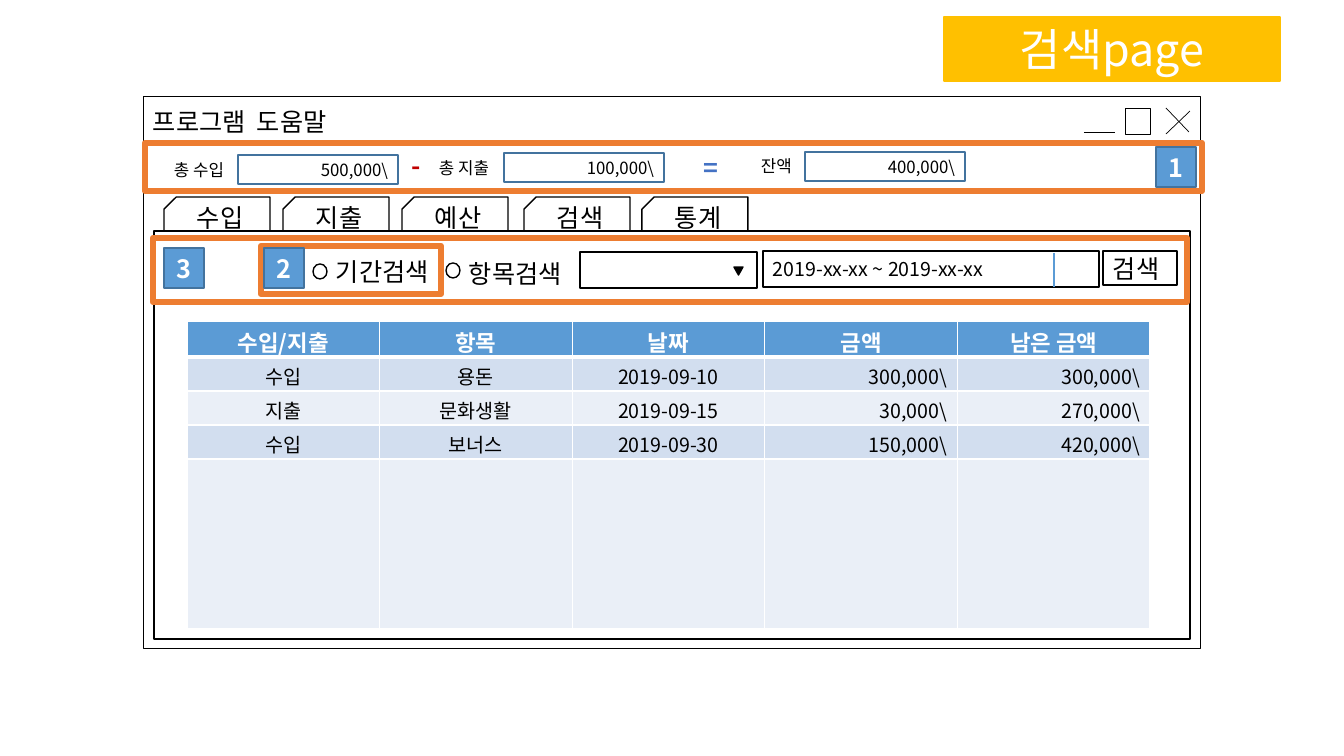
from lxml.etree import SubElement
from pptx import Presentation
from pptx.dml.color import RGBColor
from pptx.enum.shapes import MSO_CONNECTOR, MSO_SHAPE
from pptx.enum.text import MSO_ANCHOR, MSO_AUTO_SIZE, PP_ALIGN
from pptx.oxml.ns import qn
from pptx.util import Pt

FONT = "Noto Sans CJK KR"
BLACK, WHITE, BLUE, NAVY, ORANGE = "000000", "FFFFFF", "5B9BD5", "43739E", "ED7D31"
LEFT, MID, RIGHT = PP_ALIGN.LEFT, PP_ALIGN.CENTER, PP_ALIGN.RIGHT

TABS = [("수입", 164), ("지출", 283), ("예산", 402), ("검색", 524), ("통계", 642)]
TOTALS = [("총 수입", 164, 155, 79, "500,000\\", 238, 155),
          ("총 지출", 429, 153, 79, "100,000\\", 504, 153),
          ("잔액", 751, 151, 64, "400,000\\", 805, 152)]
SIGNS = [("-", 402, 145, "C00000"), ("=", 694, 147, "4472C4")]
RADIOS = [("항목검색", 446, 263, 459, 253), ("기간검색", 313, 264, 326, 251)]
MARKS = [("1", (145, 143, 1057, 48), (1156, 147)),
         ("2", (261, 246, 180, 48), (264, 248)),
         ("3", (153, 238, 1034, 64), (164, 248))]
ROWS = [("수입/지출", "항목", "날짜", "금액", "남은 금액"),
        ("수입", "용돈", "2019-09-10", "300,000\\", "300,000\\"),
        ("지출", "문화생활", "2019-09-15", "30,000\\", "270,000\\"),
        ("수입", "보너스", "2019-09-30", "150,000\\", "420,000\\"),
        ("", "", "", "", "")]
FILLS = [BLUE, "D2DEEF", "EAEFF7", "D2DEEF", "EAEFF7"]
HEIGHTS = [36, 34, 34, 34, 170]
ALIGNS = [MID, MID, MID, RIGHT, RIGHT]


def px(n):
    return round(n * 914400 / 100.8)


def rgb(code):
    return RGBColor.from_string(code)


def write(frame, text, size, color=BLACK, align=LEFT, bold=False):
    para = frame.paragraphs[0]
    para.alignment = align
    run = para.add_run()
    run.text = text
    font = run.font
    font.size, font.bold, font.name = Pt(size), bold, FONT
    font.color.rgb = rgb(color)
    SubElement(font._element, qn("a:ea")).set("typeface", FONT)


def shape(home, box, fill=WHITE, line=BLACK, width=1, kind=MSO_SHAPE.RECTANGLE):
    item = home.add_shape(kind, *map(px, box))
    item.shadow.inherit = False
    if fill:
        item.fill.solid()
        item.fill.fore_color.rgb = rgb(fill)
    else:
        item.fill.background()
    item.line.color.rgb = rgb(line)
    item.line.width = Pt(width)
    frame = item.text_frame
    frame.word_wrap = True
    frame.vertical_anchor = MSO_ANCHOR.MIDDLE
    return item


def label(home, box, text, size, color=BLACK, bold=False):
    frame = home.add_textbox(*map(px, box)).text_frame
    frame.word_wrap = True
    frame.auto_size = MSO_AUTO_SIZE.SHAPE_TO_FIT_TEXT
    write(frame, text, size, color, bold=bold)


def rule(home, ends, color=BLACK, width=0.5):
    item = home.add_connector(MSO_CONNECTOR.STRAIGHT, *map(px, ends))
    item.line.color.rgb = rgb(color)
    item.line.width = Pt(width)
    SubElement(item._element.spPr, qn("a:effectLst"))


def border(cell, row):
    props = cell._tc.get_or_add_tcPr()
    sides = [("L", 1), ("R", 1), ("T", 3 if row == 1 else 1), ("B", 3 if row == 0 else 1)]
    for side, width in sides:
        edge = SubElement(props, qn(f"a:ln{side}"), w=str(Pt(width)))
        fill = SubElement(edge, qn("a:solidFill"))
        SubElement(fill, qn("a:srgbClr"), val=WHITE)


def window(home):
    shape(home, (143, 96, 1057, 552), width=0.5)
    rule(home, (143, 143, 1200, 142))
    label(home, (143, 101, 246, 40), "프로그램  도움말", 18)
    icons = home.add_group_shape().shapes
    rule(icons, (1084, 132, 1115, 132))
    shape(icons, (1125, 108, 25, 26), width=0.5)
    rule(icons, (1166, 108, 1189, 132))
    rule(icons, (1190, 111, 1166, 134))
    for text, x in TABS:
        tab = shape(home, (x, 197, 106, 34), kind=MSO_SHAPE.SNIP_1_RECTANGLE)
        tab.adjustments[0] = 0.36
        tab._element.spPr.xfrm.set("flipH", "1")
        write(tab.text_frame, text, 18, align=MID)
    shape(home, (154, 231, 1036, 408))


def totals(home):
    rule(home, (144, 191, 1200, 190))
    for name, x, y, wide, value, left, top in TOTALS:
        label(home, (x, y, wide, 30), name, 12)
        field = shape(home, (left, top, 160, 29), None, NAVY)
        write(field.text_frame, value, 12, align=RIGHT)
    for sign, x, y, color in SIGNS:
        label(home, (x, y, 36, 40), sign, 18, color, True)


def ledger(home):
    frame = home.add_table(len(ROWS), len(ALIGNS), px(187), px(321), px(963), px(sum(HEIGHTS)))
    table = frame.table
    for r, row in enumerate(ROWS):
        table.rows[r].height = px(HEIGHTS[r])
        for c, text in enumerate(row):
            cell = table.cell(r, c)
            cell.margin_top, cell.margin_bottom = px(5), 0
            border(cell, r)
            cell.fill.solid()
            cell.fill.fore_color.rgb = rgb(FILLS[r])
            if text and r == 0:
                write(cell.text_frame, text, 16, WHITE, MID, True)
            elif text:
                write(cell.text_frame, text, 14, align=ALIGNS[c])


def search(home):
    button = shape(home, (1103, 251, 74, 34))
    write(button.text_frame, "검색", 18)
    for text, x, y, left, top in RADIOS:
        radio = home.add_group_shape().shapes
        shape(radio, (x, y, 14, 15), kind=MSO_SHAPE.OVAL)
        label(radio, (left, top, 144, 40), text, 18)
    picker = home.add_group_shape().shapes
    shape(picker, (580, 252, 177, 36))
    arrow = shape(picker, (734, 267, 9, 8), BLACK, kind=MSO_SHAPE.ISOSCELES_TRIANGLE)
    arrow.rotation = 180
    title = shape(home, (944, 17, 336, 64), "FFC000", "FFC000")
    write(title.text_frame, "검색page", 32, WHITE, MID)
    dates = shape(home, (763, 251, 336, 36))
    write(dates.text_frame, "2019-xx-xx ~ 2019-xx-xx", 14)
    rule(home, (1054, 253, 1054, 287), BLUE, 1.5)


def marks(home):
    for number, box, spot in MARKS:
        shape(home, box, None, ORANGE, 4.5)
        badge = shape(home, (*spot, 40, 40), BLUE, NAVY)
        write(badge.text_frame, number, 18, WHITE, MID, True)


def main():
    deck = Presentation()
    deck.slide_width, deck.slide_height = px(1344), px(756)
    home = deck.slides.add_slide(deck.slide_layouts[6]).shapes
    for part in (window, totals, ledger, search, marks):
        part(home)
    deck.save("out.pptx")


if __name__ == "__main__":
    main()
